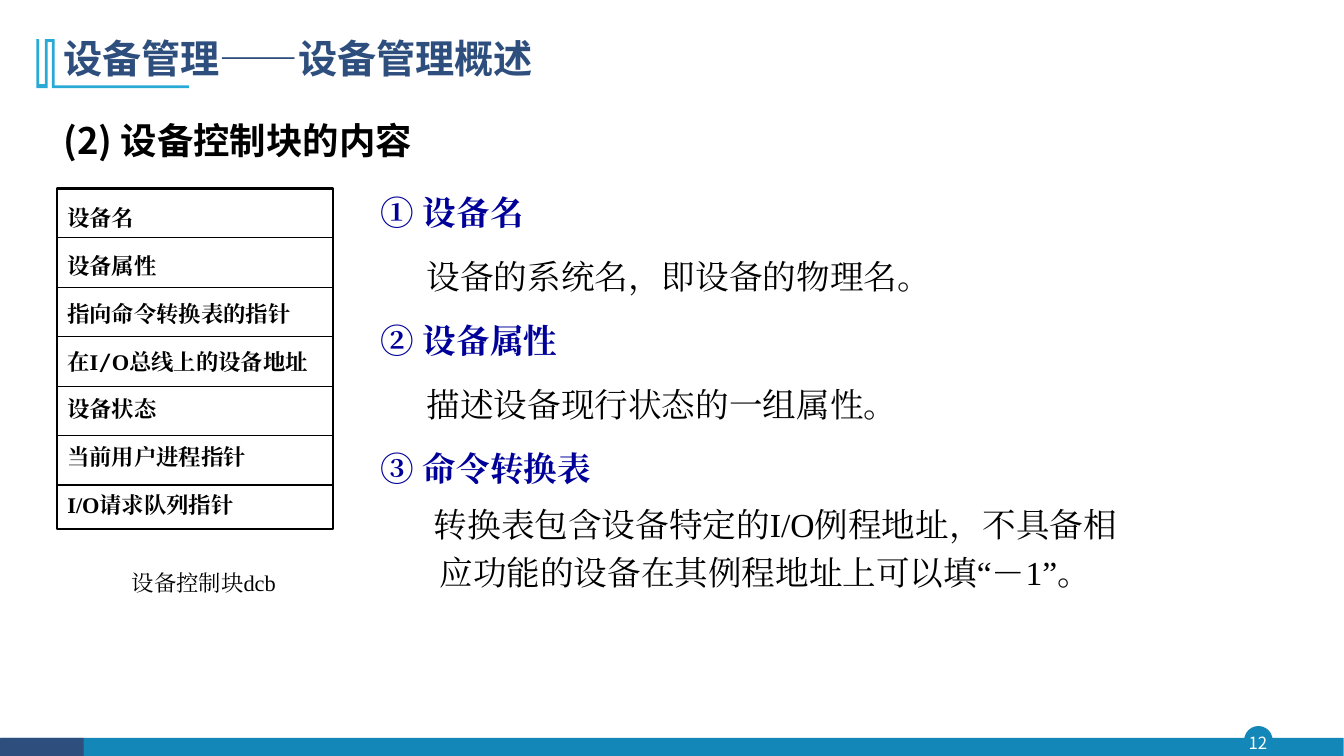
from pptx import Presentation
from pptx.dml.color import RGBColor
from pptx.enum.shapes import MSO_CONNECTOR, MSO_SHAPE
from pptx.enum.text import MSO_ANCHOR, PP_ALIGN
from pptx.oxml.ns import qn
from pptx.util import Pt

RECTANGLE, OVAL = MSO_SHAPE.RECTANGLE, MSO_SHAPE.OVAL
STRAIGHT = MSO_CONNECTOR.STRAIGHT
TOP, MIDDLE = MSO_ANCHOR.TOP, MSO_ANCHOR.MIDDLE
LEFT, CENTER = PP_ALIGN.LEFT, PP_ALIGN.CENTER

COLORS = {"teal": "1387B7", "navy": "2E4E7E", "cyan": "28A9D6",
          "blue": "000099", "black": "000000", "white": "FFFFFF"}
SANS, SERIF, MONO = "Noto Sans CJK SC", "Times New Roman", "DejaVu Sans Mono"

TITLE = "设备管理——设备管理概述"
HEADING = "(2) 设备控制块的内容"
CAPTION = "设备控制块dcb"
PAGE_NUMBER = "12"
FIELDS = [
    [("设备名", SERIF)],
    [("设备属性", SERIF)],
    [("指向命令转换表的指针", SERIF)],
    [("在I", SERIF), ("/", MONO), ("O总线上的设备地址", SERIF)],
    [("设备状态", SERIF)],
    [("当前用户进程指针", SERIF)],
    [("I/O请求队列指针", SERIF)],
]
ITEMS = [
    ("① 设备名", "设备的系统名，即设备的物理名。"),
    ("② 设备属性", "描述设备现行状态的一组属性。"),
    ("③ 命令转换表", "转换表包含设备特定的I/O例程地址，不具备相应功能的设备在其例程地址上可以填“－1”。"),
]
EMBLEM = [(38.9, 28.1), (38.9, 61.2), (134.9, 61.2), (134.9, 62.6), (37.4, 62.6),
          (37.4, 29.5), (33.8, 29.5), (33.8, 62.6), (25.9, 62.6), (25.9, 28.1),
          (28.1, 28.1), (28.1, 60.5), (31.7, 60.5), (31.7, 28.1)]
BLOCK = (41.04, 134.64, 196.56, 243.36)
ROW_PITCH = 35.3


def color(name):
    return RGBColor.from_string(COLORS[name])


def paint(shape, fill=None, line=None, width=1):
    shape.shadow.inherit = False
    if fill:
        shape.fill.solid()
        shape.fill.fore_color.rgb = color(fill)
    else:
        shape.fill.background()
    if line:
        shape.line.color.rgb = color(line)
        shape.line.width = Pt(width)
    else:
        shape.line.fill.background()


def add_preset(page, kind, bounds, **look):
    shape = page.shapes.add_shape(kind, *map(Pt, bounds))
    paint(shape, **look)
    return shape


def add_box(page, bounds):
    box = page.shapes.add_textbox(*map(Pt, bounds))
    box.text_frame.word_wrap = True
    return box.text_frame


def add_para(frame, spans, size, ink="black", bold=False, spacing=1.0,
             before=0, after=0, align=LEFT, margin=0, indent=0):
    para = frame.paragraphs[0]
    if para.runs:
        para = frame.add_paragraph()
    para.alignment, para.line_spacing = align, spacing
    para.space_before, para.space_after = Pt(before), Pt(after)
    properties = para._p.get_or_add_pPr()
    properties.set("marL", str(Pt(margin)))
    properties.set("indent", str(Pt(indent)))
    for text, name in spans:
        span = para.add_run()
        span.text = text
        font = span.font
        font.size, font.bold, font.name = Pt(size), bold, name
        font.color.rgb = color(ink)
        east_asian = span._r.rPr.makeelement(qn("a:ea"), {"typeface": name})
        span._r.rPr.find(qn("a:latin")).addnext(east_asian)


def add_frame(page):
    add_preset(page, OVAL, (889.2, 519.1, 19.4, 19.4), fill="teal", line="teal")
    add_preset(page, RECTANGLE, (0.7, 527, 959.1, 13.4), fill="teal")
    add_preset(page, RECTANGLE, (0, 527, 59.8, 13.4), fill="navy")
    number = add_box(page, (887, 519.1, 23, 22.3))
    number.margin_left = number.margin_right = 0
    number.margin_top = number.margin_bottom = 0
    number.vertical_anchor = MIDDLE
    add_para(number, [(PAGE_NUMBER, SANS)], 12, "white", align=CENTER)
    builder = page.shapes.build_freeform(*EMBLEM[0], scale=Pt(1))
    builder.add_line_segments(EMBLEM[1:], close=True)
    paint(builder.convert_to_shape(), fill="cyan")


def add_control_block(page):
    left, top, width, _ = BLOCK
    block = add_preset(page, RECTANGLE, BLOCK, line="black", width=1.5)
    frame = block.text_frame
    frame.word_wrap, frame.vertical_anchor = True, TOP
    for spans in FIELDS:
        add_para(frame, spans, 16, bold=True, spacing=1.4, before=5.5, after=1.8)
    for row in range(1, len(FIELDS)):
        height = top + row * ROW_PITCH
        rule = page.shapes.add_connector(
            STRAIGHT, Pt(left), Pt(height), Pt(left + width), Pt(height))
        rule.line.color.rgb = color("black")
        rule.line.width = Pt(0.75)
        properties = rule._element.spPr
        properties.append(properties.makeelement(qn("a:effectLst"), {}))
    caption = add_box(page, (87.1, 403.2, 124.6, 26.6))
    add_para(caption, [(CAPTION, SERIF)], 16, before=4.8)


def add_items(page):
    frame = add_box(page, (265, 124.6, 542.2, 306.7))
    for name, detail in ITEMS:
        add_para(frame, [(name, SERIF)], 24, "blue", True, 1.3, before=8.3)
        if detail == ITEMS[-1][1]:
            add_para(frame, [(detail, SERIF)], 24, spacing=1.2, before=5.5,
                     margin=41.8, indent=-4)
        else:
            add_para(frame, [(detail, SERIF)], 24, spacing=1.3, before=8.3, margin=32.8)


def main():
    """Build the device control block slide."""
    deck = Presentation()
    deck.slide_width, deck.slide_height = Pt(960), Pt(540)
    page = deck.slides.add_slide(deck.slide_layouts[6])
    add_frame(page)
    title = add_box(page, (38.2, 24.5, 755.3, 40.3))
    add_para(title, [(TITLE, SANS)], 28, "navy", True, 0.9)
    heading = add_box(page, (38.2, 65.5, 307.4, 49))
    add_para(heading, [(HEADING, SANS)], 26, bold=True, spacing=1.5, before=5.2)
    add_control_block(page)
    add_items(page)
    deck.save("out.pptx")


if __name__ == "__main__":
    main()
